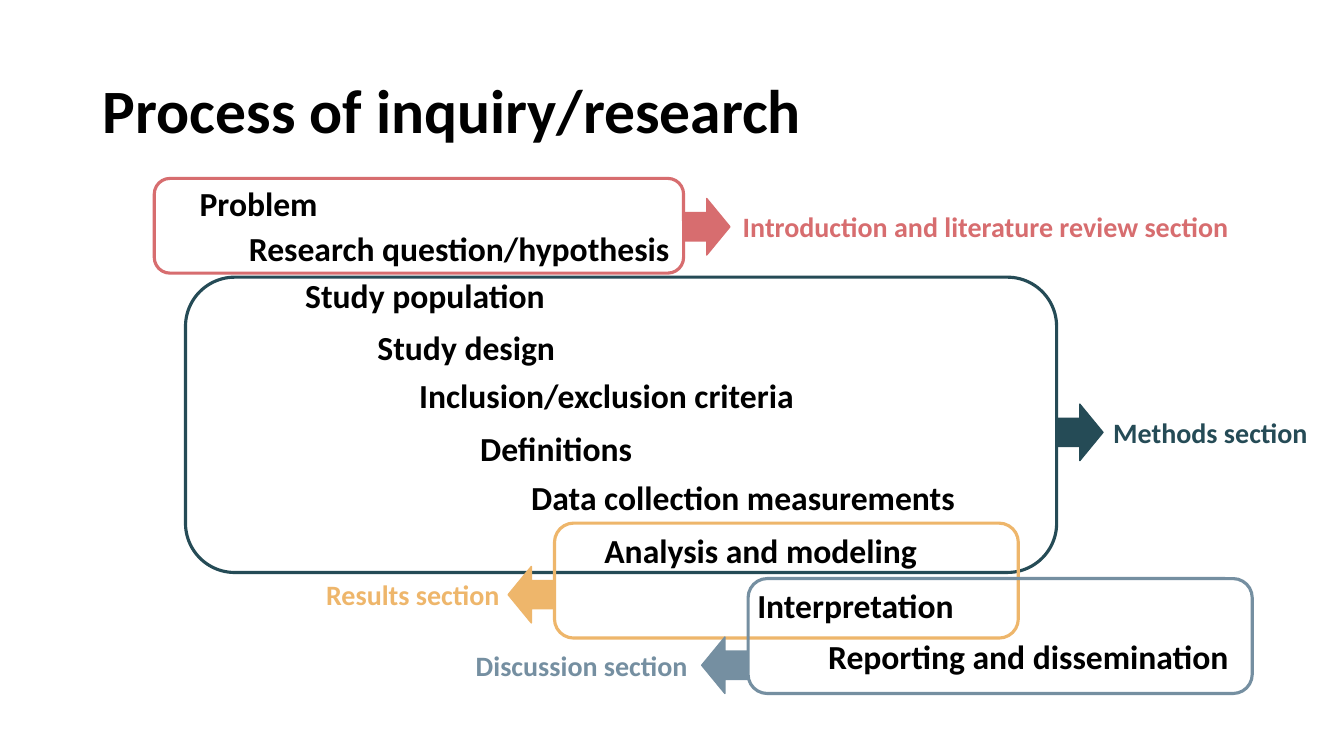
from pptx import Presentation
from pptx.dml.color import RGBColor
from pptx.enum.shapes import MSO_SHAPE as Shape
from pptx.enum.text import MSO_ANCHOR as Anchor, PP_ALIGN as Align
from pptx.util import Inches, Pt

STEPS = [
    ("Problem", 1.16, 1.77, 2.81),
    ("Research question/hypothesis", 2.33, 2.21, 4.45),
    ("Study population", 1.29, 2.68, 5.85),
    ("Study design", 1.7, 3.19, 5.85),
    ("Inclusion/exclusion criteria", 3.09, 3.67, 5.85),
    ("Definitions", 2.59, 4.2, 5.85),
    ("Data collection measurements", 4.97, 4.68, 4.8),
    ("Analysis and modeling", 4.62, 5.21, 5.85),
    ("Interpretation", 5.56, 5.75, 5.85),
    ("Reporting and dissemination", 7.8, 6.26, 4.8),
]
GROUPS = [
    ("Introduction and literature review section", "D76D6F",
     (1.53, 1.77, 5.25, 0.94), True, 2.25, 7.07, 5.41),
    ("Methods section", "254B56",
     (1.84, 2.75, 8.64, 2.93), True, 4.29, 10.93, 2.15),
    ("Results section", "EEB66B",
     (5.5, 5.19, 4.6, 1.14), False, 5.9, 3.07, 2.05),
    ("Discussion section", "758FA1",
     (7.42, 5.74, 5, 1.14), False, 6.6, 4.46, 2.62),
]


def tint(code):
    """Turn a hex string into a colour."""
    return RGBColor.from_string(code)


def write(frame, text, size=24, color="000000", align=Align.CENTER):
    """Fill a text frame with one bold paragraph."""
    frame.word_wrap = True
    para = frame.paragraphs[0]
    para.text = text
    para.alignment = align
    font = para.font
    font.name, font.size, font.bold = "Calibri", Pt(size), True
    font.color.rgb = tint(color)
    return para


def label(slide, text, left, top, width, height=0.5, **style):
    """Add a centred line of text."""
    box = slide.shapes.add_textbox(*map(Inches, (left, top, width, height)))
    write(box.text_frame, text, **style)


def block(slide, kind, box, color, line, solid=False):
    """Add a preset shape, filled or outlined, in one colour."""
    shape = slide.shapes.add_shape(kind, *map(Inches, box))
    shape.shadow.inherit = False
    if solid:
        shape.fill.solid()
        shape.fill.fore_color.rgb = tint(color)
    else:
        shape.fill.background()
    shape.line.color.rgb = tint(color)
    shape.line.width = Pt(line)


def head(slide, text, left, top, width, height):
    """Place and format the slide title."""
    title = slide.shapes.title
    title.left, title.top, title.width, title.height = map(
        Inches, (left, top, width, height))
    title.text_frame.vertical_anchor = Anchor.MIDDLE
    write(title.text_frame, text, size=44, align=Align.LEFT).line_spacing = 0.9


def group(slide, text, color, box, right, mid, left, width):
    """Frame some steps and point from the frame to its section name."""
    block(slide, Shape.ROUNDED_RECTANGLE, box, color, 2.25)
    long, tall = 0.46, 0.56
    kind = Shape.RIGHT_ARROW if right else Shape.LEFT_ARROW
    edge = box[0] + box[2] if right else box[0] - long
    block(slide, kind, (edge, mid - tall / 2, long, tall), color, 1, solid=True)
    label(slide, text, left, mid - 0.22, width, 0.44, size=20, color=color)


def main():
    """Build and save the slide."""
    deck = Presentation()
    deck.slide_width, deck.slide_height = Inches(13.33), Inches(7.5)
    slide = deck.slides.add_slide(deck.slide_layouts[5])
    head(slide, "Process of inquiry/research", 0.92, 0.4, 11.5, 1.45)
    for step in STEPS:
        label(slide, *step)
    for part in GROUPS:
        group(slide, *part)
    deck.save("out.pptx")


if __name__ == "__main__":
    main()
